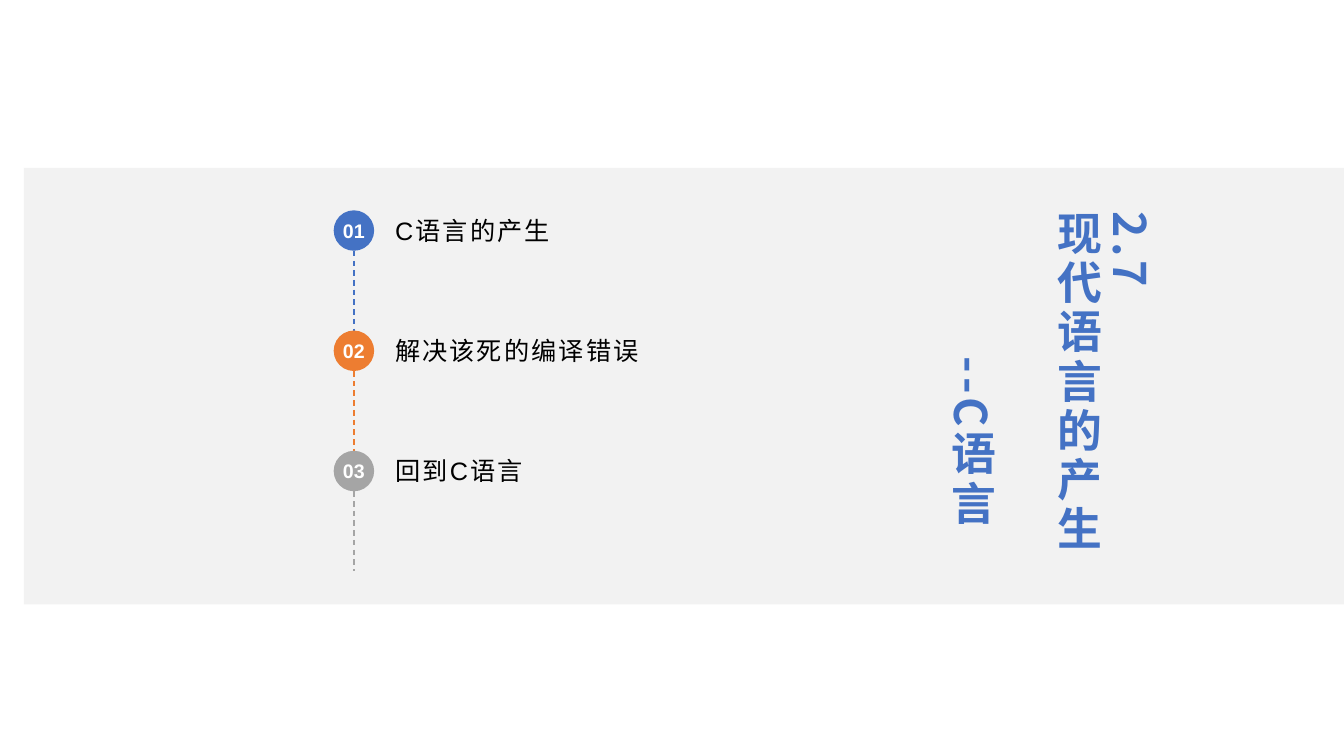
from pptx import Presentation
from pptx.dml.color import RGBColor
from pptx.enum.dml import MSO_LINE
from pptx.enum.shapes import MSO_CONNECTOR, MSO_SHAPE
from pptx.enum.text import MSO_ANCHOR, PP_ALIGN
from pptx.oxml.ns import qn
from pptx.util import Cm, Pt

RECT, OVAL = MSO_SHAPE.RECTANGLE, MSO_SHAPE.OVAL
LINE, DASH = MSO_CONNECTOR.STRAIGHT, MSO_LINE.DASH
MIDDLE, BOTTOM = MSO_ANCHOR.MIDDLE, MSO_ANCHOR.BOTTOM
CENTER = PP_ALIGN.CENTER

BLUE = RGBColor(0x44, 0x72, 0xC4)
ORANGE = RGBColor(0xED, 0x7D, 0x31)
GREY = RGBColor(0xA5, 0xA5, 0xA5)
PALE = RGBColor(0xF2, 0xF2, 0xF2)
BLACK = RGBColor(0, 0, 0)
WHITE = RGBColor(0xFF, 0xFF, 0xFF)
SANS, HAN = "Arial", "Noto Sans CJK SC"

TOPICS = [("C语言的产生", BLUE), ("解决该死的编译错误", ORANGE), ("回到C语言", GREY)]


def add_run(para, text, size, color, font=SANS, bold=False, gap=0):
    """Add one styled run; gap is the letter spacing in points."""
    run = para.add_run()
    run.text = text
    run.font.size = Pt(size)
    run.font.bold = bold
    run.font.color.rgb = color
    run.font.name = font
    props = run.font._element
    props.set("spc", str(int(gap * 100)))
    east = props.makeelement(qn("a:ea"), {"typeface": HAN})
    props.find(qn("a:latin")).addnext(east)


def add_solid(slide, kind, color, left, top, width, height):
    """Add a plain filled shape without outline or shadow."""
    shape = slide.shapes.add_shape(kind, left, top, width, height)
    shape.shadow.inherit = False
    shape.fill.solid()
    shape.fill.fore_color.rgb = color
    shape.line.fill.background()
    return shape


def add_dash(slide, color, x, top, height):
    """Add a dashed vertical line."""
    line = slide.shapes.add_connector(LINE, x, top, x, top + height)
    line.line.color.rgb = color
    line.line.width = Pt(1)
    line.line.dash_style = DASH
    props = line._element.spPr
    props.append(props.makeelement(qn("a:effectLst"), {}))


def add_title(slide, left, top, width, height):
    """Add the vertical title, its columns running right to left."""
    frame = slide.shapes.add_textbox(left, top, width, height).text_frame
    frame.word_wrap = True
    frame.vertical_anchor = BOTTOM
    frame._txBody.bodyPr.set("vert", "eaVert")
    for index, text in enumerate(("2.7", "现代语言的产生", "--C语言")):
        para = frame.paragraphs[0] if index == 0 else frame.add_paragraph()
        para.line_spacing = Pt(38)
        add_run(para, text, 32, BLUE, HAN, True, 3)
    para.space_before = Pt(38)
    para._p.get_or_add_pPr().set("marL", str(Cm(3.65)))


def add_topic(slide, number, text, color, left, top, width, height):
    """Add a numbered dot, the line below it and its topic."""
    size = Cm(1.02)
    box = slide.shapes.add_textbox(left + Cm(1.3), top - Cm(0.23),
                                   width - Cm(1.3), Cm(2.82))
    box.text_frame.word_wrap = True
    para = box.text_frame.paragraphs[0]
    para.line_spacing = 1.3
    add_run(para, text, 18, BLACK, gap=1.5)

    dot = add_solid(slide, OVAL, color, left, top, size, size)
    frame = dot.text_frame
    frame.word_wrap = False
    frame.vertical_anchor = MIDDLE
    para = frame.paragraphs[0]
    para.alignment = CENTER
    add_run(para, f"{number:02}", 14, WHITE, bold=True)
    add_dash(slide, color, left + size // 2, top + size, height - size)


def add_list(slide, left, top, width, height):
    """Stack the topics at an equal pitch."""
    pitch = height // len(TOPICS)
    for index, (text, color) in enumerate(TOPICS):
        add_topic(slide, index + 1, text, color,
                  left, top + index * pitch, width, pitch)


def main():
    """Build the section slide and save it."""
    deck = Presentation()
    deck.slide_width, deck.slide_height = Cm(33.87), Cm(19.05)
    slide = deck.slides.add_slide(deck.slide_layouts[6])
    add_solid(slide, RECT, PALE, Cm(0.6), Cm(4.23), Cm(33.27), Cm(11))
    add_title(slide, Cm(23.7), Cm(5.08), Cm(3.4), Cm(9.32))
    add_list(slide, Cm(8.41), Cm(5.3), Cm(12.8), Cm(9.09))
    deck.save("out.pptx")


main()
